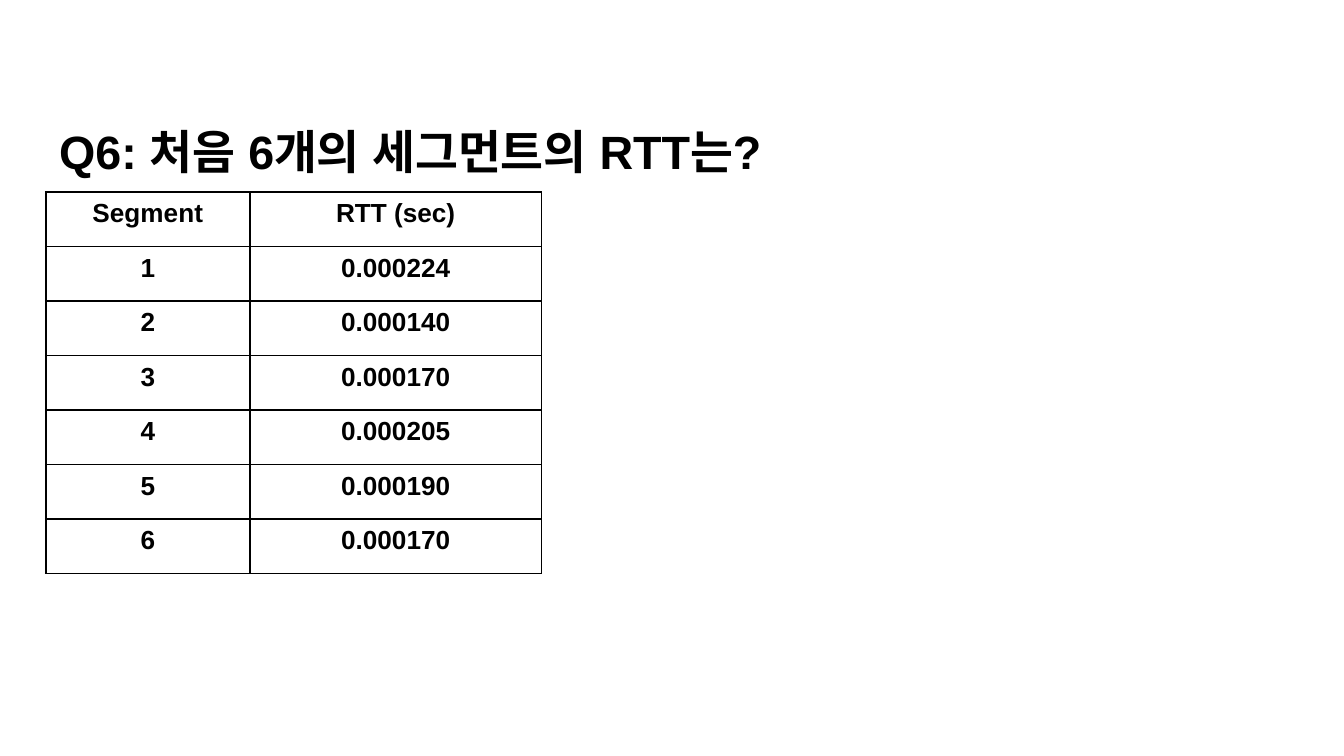
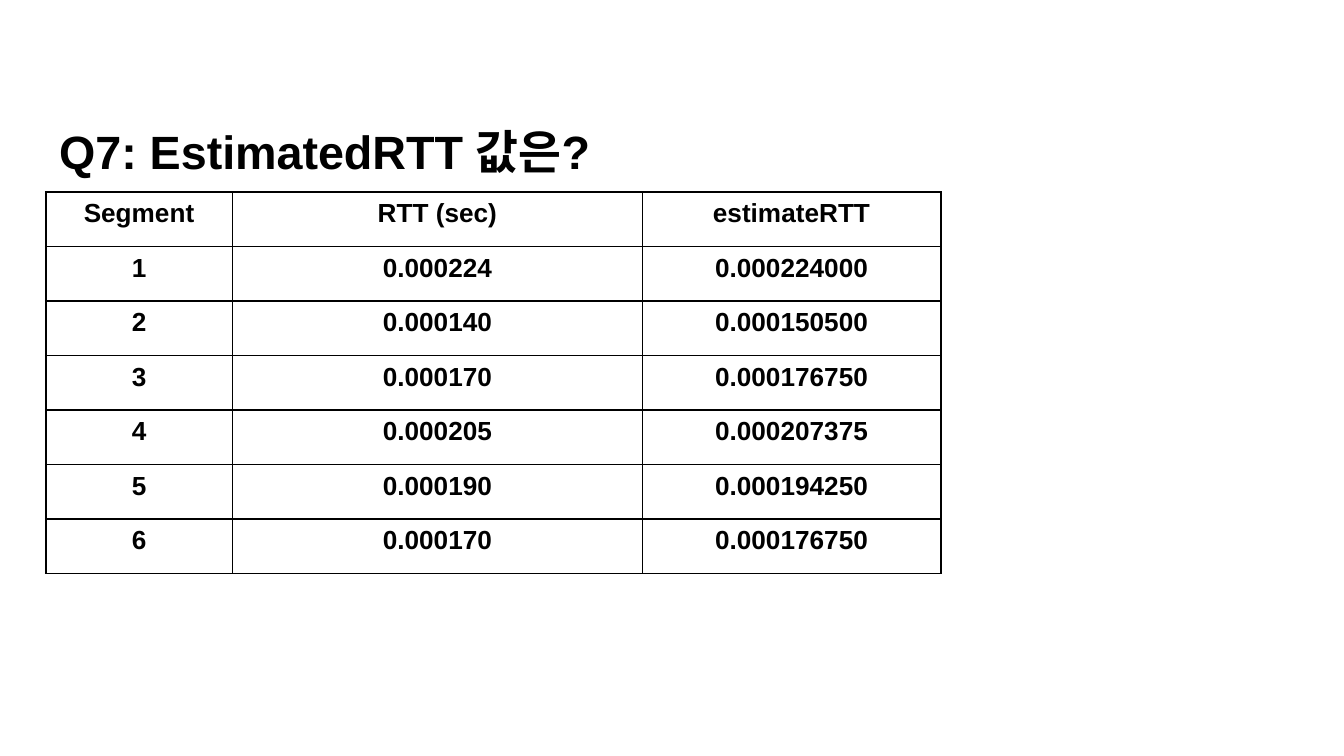
"""Build two slides of round-trip-time answers, each a title over a table."""
from lxml import etree
from pptx import Presentation
from pptx.dml.color import RGBColor
from pptx.enum.text import MSO_ANCHOR, MSO_AUTO_SIZE, PP_ALIGN
from pptx.oxml.ns import qn
from pptx.util import Inches, Pt

LEFT = PP_ALIGN.LEFT
CENTER = PP_ALIGN.CENTER
BOTTOM = MSO_ANCHOR.BOTTOM
NO_AUTOFIT = MSO_AUTO_SIZE.NONE

FONT = "Arial"
INK = "000000"
PAPER = "FFFFFF"
TITLE_SIZE = 25
TABLE_SIZE = 14
LEFT_EDGE = 0.34
TABLE_TOP = 1.43
TABLE_HEIGHT = 2.84

RTT = ["0.000224", "0.000140", "0.000170", "0.000205", "0.000190", "0.000170"]
ESTIMATES = ["0.000224000", "0.000150500", "0.000176750",
             "0.000207375", "0.000194250", "0.000176750"]
SEGMENT_COLUMN = ["Segment"] + [str(number) for number in range(1, len(RTT) + 1)]
RTT_COLUMN = ["RTT (sec)"] + RTT
ESTIMATE_COLUMN = ["estimateRTT"] + ESTIMATES

QUESTIONS = [
    ("Q6: 처음 6개의 세그먼트의 RTT는?",
     [(1.52, SEGMENT_COLUMN), (2.17, RTT_COLUMN)]),
    ("Q7: EstimatedRTT 값은?",
     [(1.39, SEGMENT_COLUMN), (3.05, RTT_COLUMN), (2.22, ESTIMATE_COLUMN)]),
]


def write(frame, text, size, align):
    para = frame.paragraphs[0]
    para.alignment = align
    span = para.add_run()
    span.text = text
    span.font.name = FONT
    span.font.size = Pt(size)
    span.font.bold = True
    span.font.color.rgb = RGBColor.from_string(INK)
    etree.SubElement(span._r.get_or_add_rPr(), qn("a:ea"), typeface=FONT)


def draw_borders(cell):
    properties = cell._tc.get_or_add_tcPr()
    for side in ("a:lnL", "a:lnR", "a:lnT", "a:lnB"):
        line = etree.SubElement(properties, qn(side), w=str(Pt(1)))
        fill = etree.SubElement(line, qn("a:solidFill"))
        etree.SubElement(fill, qn("a:srgbClr"), val=INK)


deck = Presentation()
deck.slide_width = Inches(10)
deck.slide_height = Inches(10 * 9 / 16)
title_only = deck.slide_layouts[5]
background = deck.slide_master.background.fill
background.solid()
background.fore_color.rgb = RGBColor.from_string(PAPER)

for question, columns in QUESTIONS:
    page = deck.slides.add_slide(title_only)

    title = page.shapes.title
    title.left, title.top = Inches(LEFT_EDGE), Inches(0.6)
    title.width, title.height = Inches(8.47), Inches(0.83)
    frame = title.text_frame
    frame.word_wrap = True
    frame.auto_size = NO_AUTOFIT
    frame.vertical_anchor = BOTTOM
    frame.margin_left = frame.margin_right = Inches(0.1)
    frame.margin_top = frame.margin_bottom = Inches(0.1)
    write(frame, question, TITLE_SIZE, LEFT)

    table_width = sum(width for width, values in columns)
    table = page.shapes.add_table(
        len(SEGMENT_COLUMN), len(columns), Inches(LEFT_EDGE), Inches(TABLE_TOP),
        Inches(table_width), Inches(TABLE_HEIGHT)).table
    table.first_row = False
    table.horz_banding = False
    for column_index, (width, values) in enumerate(columns):
        table.columns[column_index].width = Inches(width)
        for row_index, value in enumerate(values):
            cell = table.cell(row_index, column_index)
            draw_borders(cell)
            cell.fill.background()
            write(cell.text_frame, value, TABLE_SIZE, CENTER)

deck.save("out.pptx")
